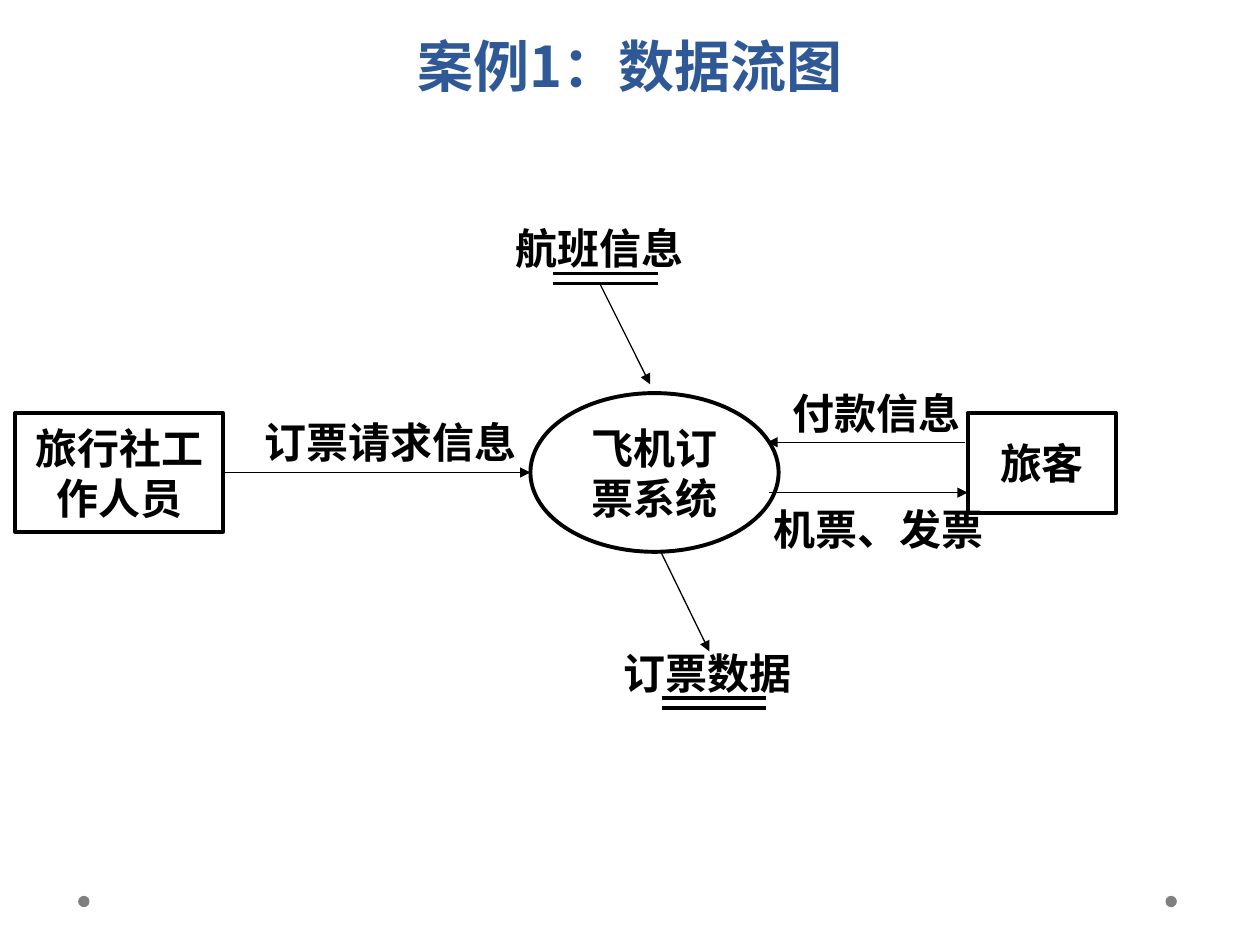
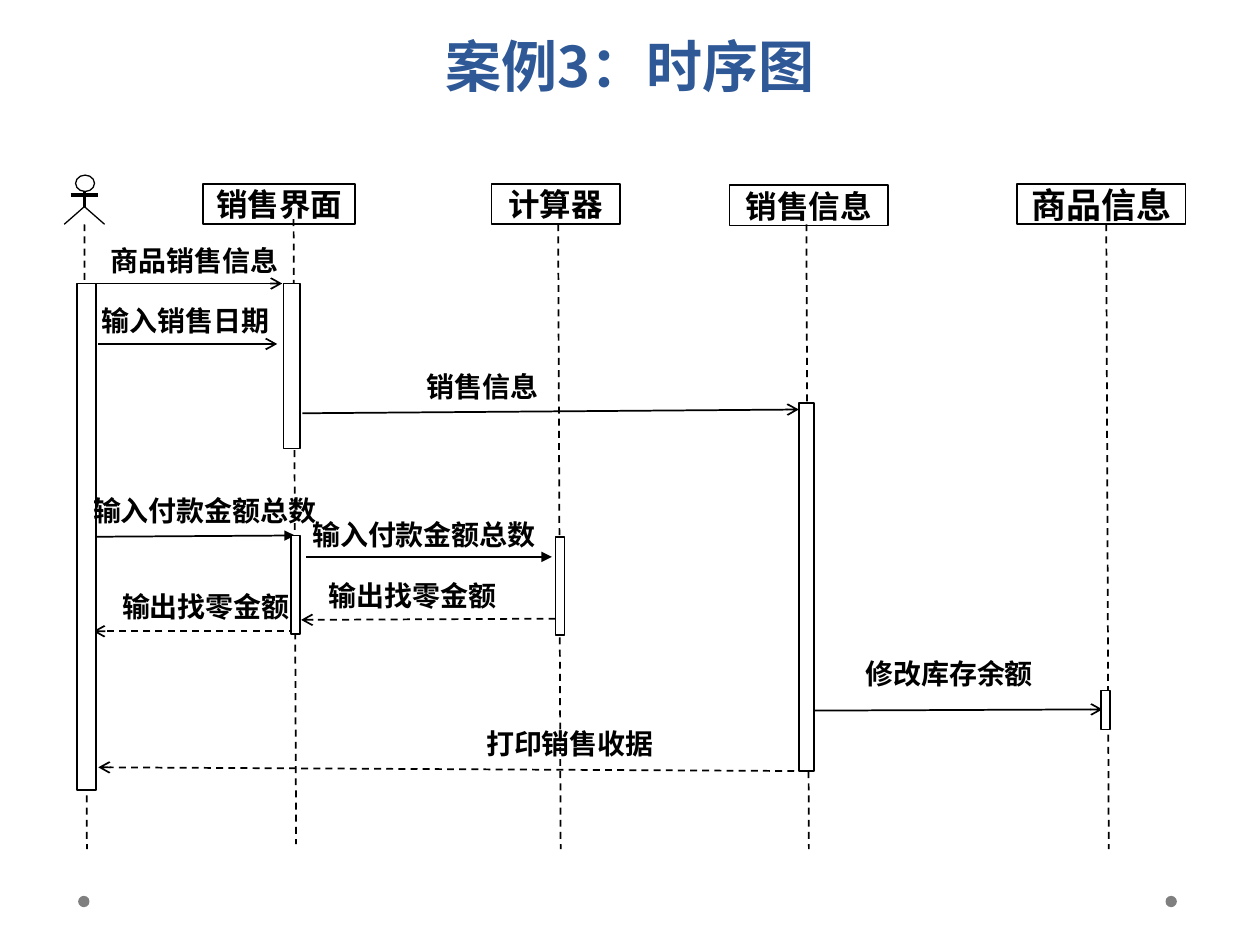
"""Build two diagram slides: a data flow diagram and a sequence diagram."""
import pptx
import pptx.dml.color
import pptx.enum.dml
import pptx.enum.shapes
import pptx.enum.text
import pptx.oxml
import pptx.oxml.ns
import pptx.util

Inches = pptx.util.Inches
Pt = pptx.util.Pt
RGBColor = pptx.dml.color.RGBColor
SHAPE = pptx.enum.shapes.MSO_SHAPE
ANCHOR = pptx.enum.text.MSO_ANCHOR
ALIGN = pptx.enum.text.PP_ALIGN

BLACK = RGBColor(0x00, 0x00, 0x00)
WHITE = RGBColor(0xFF, 0xFF, 0xFF)
BLUE = RGBColor(0x2F, 0x58, 0x97)
GREY = RGBColor(0x7F, 0x7F, 0x7F)

CHINESE_FONT = "Noto Sans CJK SC"
TITLE_FORMAT = {"name": CHINESE_FONT, "size": Pt(32), "bold": True}
NODE_FORMAT = {"name": "Roboto", "bold": True}
LABEL_FORMAT = {"name": "Times New Roman", "bold": True}
INSETS = {"margin_left": Inches(0.1), "margin_right": Inches(0.1),
          "margin_top": Inches(0.05), "margin_bottom": Inches(0.05)}

LIFELINE_LENGTH = 4.96
LIFELINE_DRIFT = 0.02
STORE_WIDTH = 0.83
STORE_GAP = 0.08


def apply(target, values):
    """Set each named attribute of the target."""
    for name, value in values.items():
        setattr(target, name, value)


def add_element(parent, tag, **attributes):
    """Append a drawing element with the given attributes."""
    element = pptx.oxml.parse_xml(f"<a:{tag} {pptx.oxml.ns.nsdecls('a')}/>")
    for name, value in attributes.items():
        element.set(name, value)
    parent.append(element)


def write(frame, text, color, values, align, **frame_values):
    """Write one formatted paragraph into a text frame."""
    apply(frame, {**INSETS, **frame_values})
    para = frame.paragraphs[0]
    para.alignment = align
    span = para.add_run()
    span.text = text
    apply(span.font, values)
    span.font.color.rgb = color
    add_element(span.font._element, "ea", typeface=CHINESE_FONT)
    return para


def outline(shape, width, fill=None):
    """Give a shape a black outline and an optional fill."""
    shape.shadow.inherit = False
    if fill is None:
        shape.fill.background()
    else:
        shape.fill.solid()
        shape.fill.fore_color.rgb = fill
    shape.line.color.rgb = BLACK
    shape.line.width = Pt(width)


def add_box(slide, place, width, kind=SHAPE.RECTANGLE, fill=None):
    """Add an outlined preset shape."""
    box = slide.shapes.add_shape(kind, *map(Inches, place))
    outline(box, width, fill)
    return box


def add_node(slide, text, place, size, width, kind=SHAPE.RECTANGLE):
    """Add an outlined shape with centred text."""
    node = add_box(slide, place, width, kind)
    write(node.text_frame, text, BLACK, {**NODE_FORMAT, "size": Pt(size)},
          ALIGN.CENTER, vertical_anchor=ANCHOR.MIDDLE, word_wrap=True)


def add_label(slide, text, left, top, size):
    """Add a one-line label that is as wide as its characters."""
    place = left, top, len(text) * size / 72 + 0.2, size / 60 + 0.1
    box = slide.shapes.add_textbox(*map(Inches, place))
    write(box.text_frame, text, BLACK, {**LABEL_FORMAT, "size": Pt(size)},
          ALIGN.LEFT, vertical_anchor=ANCHOR.TOP, word_wrap=False)


def add_line(slide, begin, end, width, tip=None, dashed=False):
    """Add a straight line with an optional arrowhead at its end."""
    line = slide.shapes.add_connector(
        pptx.enum.shapes.MSO_CONNECTOR.STRAIGHT, *map(Inches, (*begin, *end)))
    line.line.color.rgb = BLACK
    line.line.width = Pt(width)
    if dashed:
        line.line.dash_style = pptx.enum.dml.MSO_LINE.DASH
    if tip:
        add_element(line.line._get_or_add_ln(), "tailEnd", type=tip)
    add_element(line._element.spPr, "effectLst")


def add_store(slide, text, left, top):
    """Add a data store: a label above a double line."""
    add_label(slide, text, left - 0.4, top - 0.45, 24)
    for height in (top, top + STORE_GAP):
        add_line(slide, (left, height), (left + STORE_WIDTH, height), 2)


def add_actor(slide, center, top):
    """Add a stick figure."""
    add_box(slide, (center - 0.07, top, 0.15, 0.13), 0, SHAPE.OVAL)
    add_line(slide, (center, top + 0.13), (center, top + 0.25), 0)
    add_line(slide, (center - 0.11, top + 0.16), (center + 0.11, top + 0.16), 0)
    foot = Inches(top + 0.39)
    builder = slide.shapes.build_freeform(Inches(center - 0.16), foot)
    builder.add_line_segments([(Inches(center), Inches(top + 0.25)),
                               (Inches(center + 0.16), foot)], close=False)
    outline(builder.convert_to_shape(), 0)


def add_page(deck, text):
    """Add a slide with its title and the two footer dots."""
    slide = deck.slides.add_slide(deck.slide_layouts[5])
    title = slide.shapes.title
    apply(title, {"left": Inches(0.5), "top": Inches(-0.11),
                  "width": Inches(9), "height": Inches(0.94)})
    para = write(title.text_frame, text, BLUE, TITLE_FORMAT, ALIGN.CENTER,
                 vertical_anchor=ANCHOR.BOTTOM, word_wrap=True)
    apply(para, {"line_spacing": Pt(58), "space_before": Pt(0)})
    for left in (0.62, 9.25):
        dot = add_box(slide, (left, 7.11, 0.09, 0.09), 0, SHAPE.OVAL, GREY)
        dot.line.fill.background()
    return slide


def draw_data_flow(deck):
    """Draw the flight booking data flow diagram."""
    slide = add_page(deck, "案例1：数据流图")
    nodes = [
        ("飞机订票系统", (4.21, 3.12, 1.97, 1.26), SHAPE.OVAL),
        ("旅行社工作人员", (0.12, 3.28, 1.65, 0.94), SHAPE.RECTANGLE),
        ("旅客", (7.68, 3.28, 1.18, 0.79), SHAPE.RECTANGLE),
    ]
    for text, place, kind in nodes:
        add_node(slide, text, place, 24, 2.25, kind)
    flows = [
        ((1.77, 3.75), (4.21, 3.75)),
        ((6.1, 3.91), (7.68, 3.91)),
        ((7.66, 3.51), (6.09, 3.51)),
        ((5.24, 4.37), (5.63, 5.17)),
        ((4.76, 2.25), (5.16, 3.05)),
    ]
    for begin, end in flows:
        add_line(slide, begin, end, 0.75, "triangle")
    labels = [("订票请求信息", 2, 3.26), ("付款信息", 6.19, 3.03),
              ("机票、发票", 6.04, 3.95)]
    for text, left, top in labels:
        add_label(slide, text, left, top, 24)
    add_store(slide, "航班信息", 4.39, 2.17)
    add_store(slide, "订票数据", 5.25, 5.54)


def draw_sequence(deck):
    """Draw the sales sequence diagram."""
    slide = add_page(deck, "案例3：时序图")
    add_actor(slide, 0.67, 1.39)
    participants = [
        ("销售界面", 1.61, 1.46, 1.21, 18),
        ("计算器", 3.9, 1.46, 1.02, 18),
        ("销售信息", 5.79, 1.47, 1.26, 18),
        ("商品信息", 8.07, 1.46, 1.34, 20),
    ]
    for text, left, top, width, size in participants:
        add_node(slide, text, (left, top, width, 0.32), size, 1)
    for left, top in [(0.67, 1.78), (2.33, 1.74), (4.43, 1.78),
                      (6.4, 1.78), (8.78, 1.78)]:
        end = left + LIFELINE_DRIFT, top + LIFELINE_LENGTH
        add_line(slide, (left, top), end, 1, dashed=True)
    calls = [
        ((0.72, 2.25), (2.24, 2.25), "arrow"),
        ((0.78, 2.73), (2.2, 2.73), "arrow"),
        ((2.4, 3.28), (6.34, 3.25), "arrow"),
        ((0.76, 4.26), (2.34, 4.25), "triangle"),
        ((2.43, 4.42), (4.38, 4.42), "triangle"),
        ((6.47, 5.64), (8.75, 5.63), "arrow"),
    ]
    for begin, end, tip in calls:
        add_line(slide, begin, end, 1, tip)
    replies = [
        ((4.41, 4.91), (2.39, 4.92)),
        ((2.35, 5.01), (0.74, 5.01)),
        ((6.4, 6.12), (0.78, 6.09)),
    ]
    for begin, end in replies:
        add_line(slide, begin, end, 1, "arrow", dashed=True)
    activations = [
        (0.61, 2.25, 0.15, 4.02),
        (2.25, 2.25, 0.13, 1.31),
        (2.31, 4.25, 0.07, 0.78),
        (4.41, 4.26, 0.07, 0.78),
        (6.34, 3.2, 0.12, 2.92),
        (8.74, 5.48, 0.07, 0.31),
    ]
    for place in activations:
        add_box(slide, place, 1, fill=WHITE)
    labels = [
        ("商品销售信息", 0.78, 1.88),
        ("输入销售日期", 0.71, 2.36),
        ("销售信息", 3.29, 2.88),
        ("输入付款金额总数", 0.64, 3.87),
        ("输入付款金额总数", 2.38, 4.06),
        ("输出找零金额", 2.51, 4.54),
        ("输出找零金额", 0.87, 4.63),
        ("修改库存余额", 6.77, 5.16),
        ("打印销售收据", 3.76, 5.72),
    ]
    for text, left, top in labels:
        add_label(slide, text, left, top, 16)


def main():
    """Build and save the deck."""
    deck = pptx.Presentation()
    apply(deck, {"slide_width": Inches(10), "slide_height": Inches(7.5)})
    draw_data_flow(deck)
    draw_sequence(deck)
    deck.save("out.pptx")


if __name__ == "__main__":
    main()
